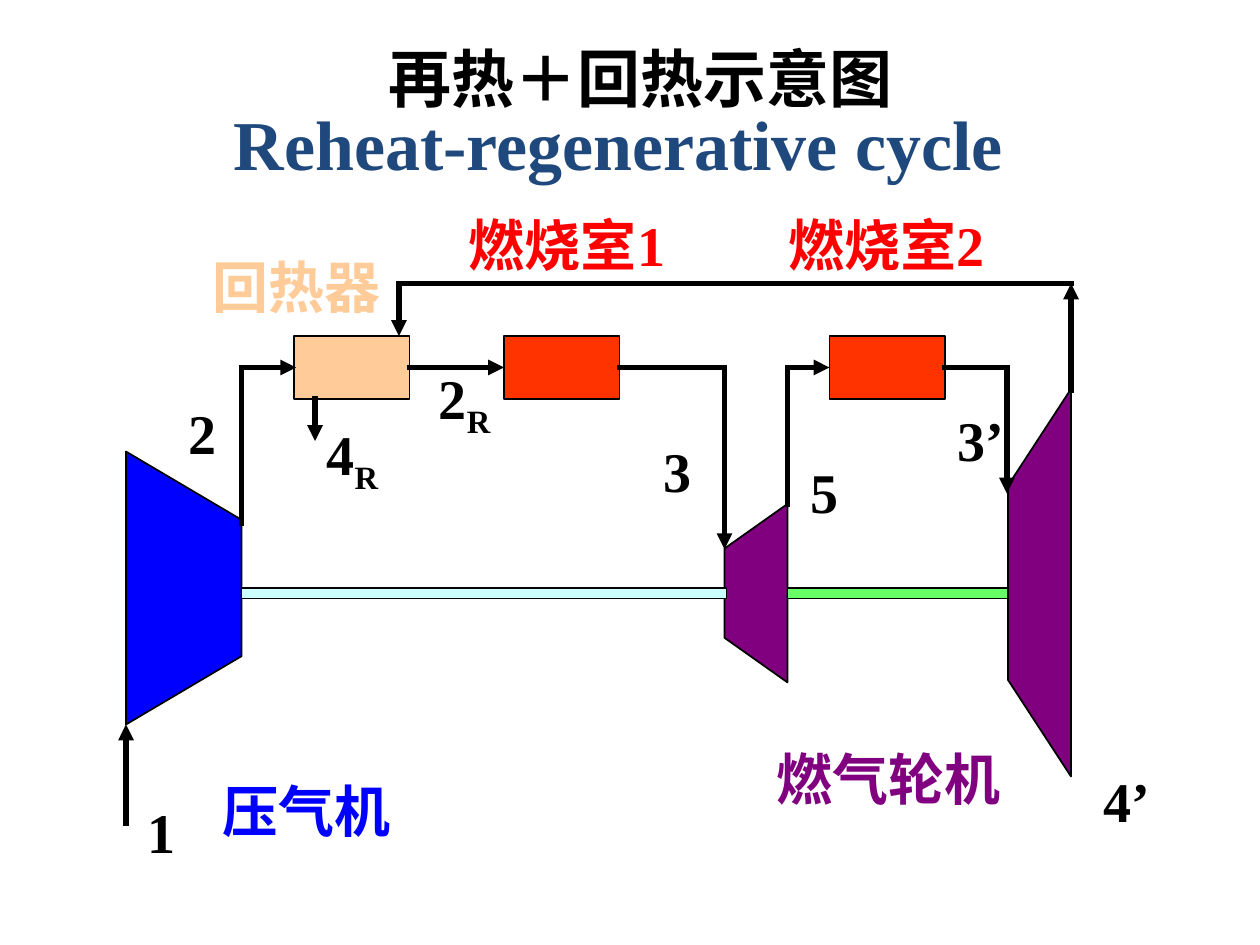
import pptx
import pptx.util
import pptx.dml.color
import pptx.enum.shapes
import pptx.enum.text
import pptx.oxml.ns
from lxml import etree

RGB = pptx.dml.color.RGBColor
BLACK = RGB(0x00, 0x00, 0x00)
NAVY = RGB(0x1F, 0x49, 0x7D)
BLUE = RGB(0x00, 0x00, 0xFF)
PURPLE = RGB(0x80, 0x00, 0x80)
RED = RGB(0xFF, 0x00, 0x00)
ORANGE = RGB(0xFF, 0x33, 0x00)
PEACH = RGB(0xFF, 0xCC, 0x99)
CYAN = RGB(0xCC, 0xFF, 0xFF)
GREEN = RGB(0x66, 0xFF, 0x66)


class Diagram:
    """Draws on a grid of 120 columns by 90 rows."""
    latin = "Times New Roman"
    asian = "Noto Sans CJK SC"

    def __init__(self, prs):
        self.unit = prs.slide_width / 120
        self.s = prs.slides.add_slide(prs.slide_layouts[5])

    def grid(self, *values):
        return [pptx.util.Emu(round(v * self.unit)) for v in values]

    def style(self, p, size, color, latin):
        p.alignment = pptx.enum.text.PP_ALIGN.CENTER
        p.space_before = pptx.util.Pt(0)
        font = p.font
        font.size, font.bold, font.name = pptx.util.Pt(size), True, latin
        font.color.rgb = color
        props = p._p.pPr.find(pptx.oxml.ns.qn("a:defRPr"))
        ea = etree.SubElement(props, pptx.oxml.ns.qn("a:ea"))
        ea.set("typeface", self.asian)

    def title(self, text, x, y, w, h):
        sp = self.s.shapes.title
        sp.left, sp.top, sp.width, sp.height = self.grid(x, y, w, h)
        tf = sp.text_frame
        tf.text = text
        tf.vertical_anchor = pptx.enum.text.MSO_ANCHOR.MIDDLE
        self.style(tf.paragraphs[0], 36, BLACK, self.asian)

    def label(self, text, x, y, w, h=7.7, color=BLACK, size=32, sub="", wrap=False):
        tf = self.s.shapes.add_textbox(*self.grid(x, y, w, h)).text_frame
        tf.word_wrap = wrap
        tf.auto_size = pptx.enum.text.MSO_AUTO_SIZE.SHAPE_TO_FIT_TEXT
        p = tf.paragraphs[0]
        p.add_run().text = text
        if sub:
            r = p.add_run()
            r.text = sub
            r.font._element.set("baseline", "-25000")
        self.style(p, size, color, self.latin)

    def paint(self, sp, color):
        sp.shadow.inherit = False
        sp.fill.solid()
        sp.fill.fore_color.rgb = color
        sp.line.color.rgb = BLACK
        sp.line.width = pptx.util.Pt(1)

    def box(self, x, y, w, h, color):
        kind = pptx.enum.shapes.MSO_SHAPE.RECTANGLE
        self.paint(self.s.shapes.add_shape(kind, *self.grid(x, y, w, h)), color)

    def trapezoid(self, left, right, middle, half_left, half_right, color):
        points = [(left, middle - half_left), (right, middle - half_right),
                  (right, middle + half_right), (left, middle + half_left)]
        points = [tuple(self.grid(*pt)) for pt in points]
        builder = self.s.shapes.build_freeform(*points[0])
        builder.add_line_segments(points[1:], close=True)
        self.paint(builder.convert_to_shape(), color)

    def pipe(self, *points):
        """Straight pieces through the points, with an arrowhead on the last."""
        for i, (a, b) in enumerate(zip(points, points[1:]), 2):
            kind = pptx.enum.shapes.MSO_CONNECTOR.STRAIGHT
            c = self.s.shapes.add_connector(kind, *self.grid(*a, *b))
            c.line.color.rgb = BLACK
            c.line.width = pptx.util.Pt(3)
            ln = c.line._get_or_add_ln()
            ln.set("cap", "sq")
            if i == len(points):
                tail = etree.SubElement(ln, pptx.oxml.ns.qn("a:tailEnd"))
                tail.set("type", "triangle")
            etree.SubElement(c._element.spPr, pptx.oxml.ns.qn("a:effectLst"))


def main():
    prs = pptx.Presentation()
    prs.slide_width = pptx.util.Inches(10)
    prs.slide_height = pptx.util.Inches(7.5)
    d = Diagram(prs)

    # Headings
    d.title("再热＋回热示意图", 7, 2, 108, 10.8)
    d.label("Reheat-regenerative cycle", 8, 9, 101.8, 9.2, NAVY, 40, wrap=True)

    # Compressor, turbines and shafts
    d.trapezoid(12, 23, 56, 13, 6.5, BLUE)
    d.trapezoid(69, 75, 56.5, 4.25, 8.5, PURPLE)
    d.box(23, 56, 46.2, 1, CYAN)
    d.trapezoid(96, 102, 55.5, 9.25, 18.45, PURPLE)
    d.box(75, 56, 21, 1, GREEN)

    # Regenerator and combustion chambers
    for x, color in ((28, PEACH), (48, ORANGE), (79, ORANGE)):
        d.box(x, 32, 11, 6, color)

    # Flow paths
    d.pipe((12, 78.4), (12, 69))
    d.pipe((23, 49.8), (23, 35), (28.2, 35))
    d.pipe((39, 35), (48, 35))
    d.pipe((59, 35), (69, 35), (69, 52.3))
    d.pipe((75, 48), (75, 35), (79, 35))
    d.pipe((90, 35), (95.9, 35), (95.9, 47))
    d.pipe((102, 37.2), (102, 27))
    d.pipe((102, 27), (38, 27), (38, 32))
    d.pipe((30, 38), (30, 42))

    # State points
    for text, x, y, w, sub in (("1", 12.9, 75.4, 5, ""), ("2", 16.8, 37.4, 5, ""),
                               ("2", 40.6, 34, 7.3, "R"), ("3", 62, 41, 5, ""),
                               ("3’", 90, 38, 6.9, ""), ("4", 29.9, 39.4, 7.3, "R"),
                               ("4’", 103.9, 72.4, 6.9, ""), ("5", 76, 43, 5, "")):
        d.label(text, x, y, w, sub=sub)

    # Component names
    d.label("压气机", 20, 73.4, 18.4, color=BLUE)
    d.label("燃气轮机", 72.7, 70.3, 23.8, color=PURPLE)
    d.label("回热器", 19, 23.5, 18.4, color=PEACH)
    d.label("燃烧室1", 43, 19.5, 22, 14, RED, wrap=True)
    d.label("燃烧室2", 73.2, 19.5, 22.4, color=RED)

    prs.save("out.pptx")


if __name__ == "__main__":
    main()
